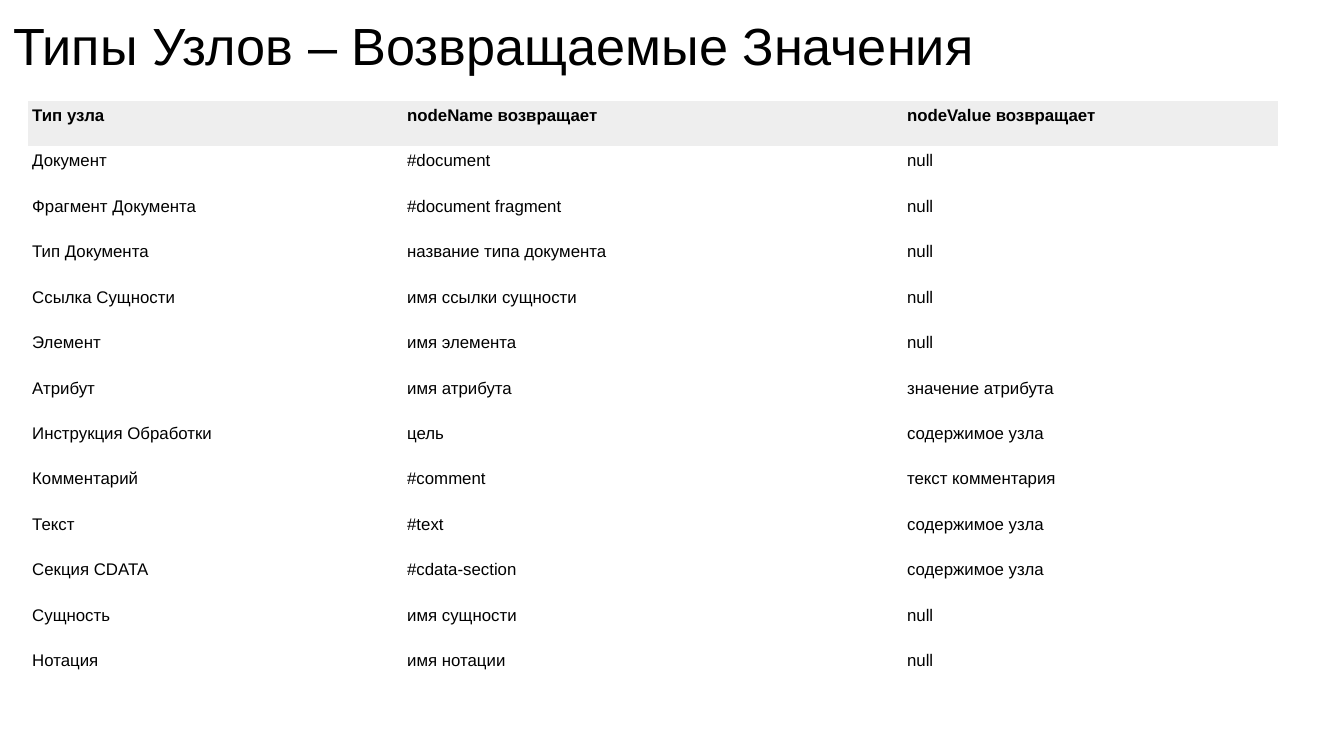
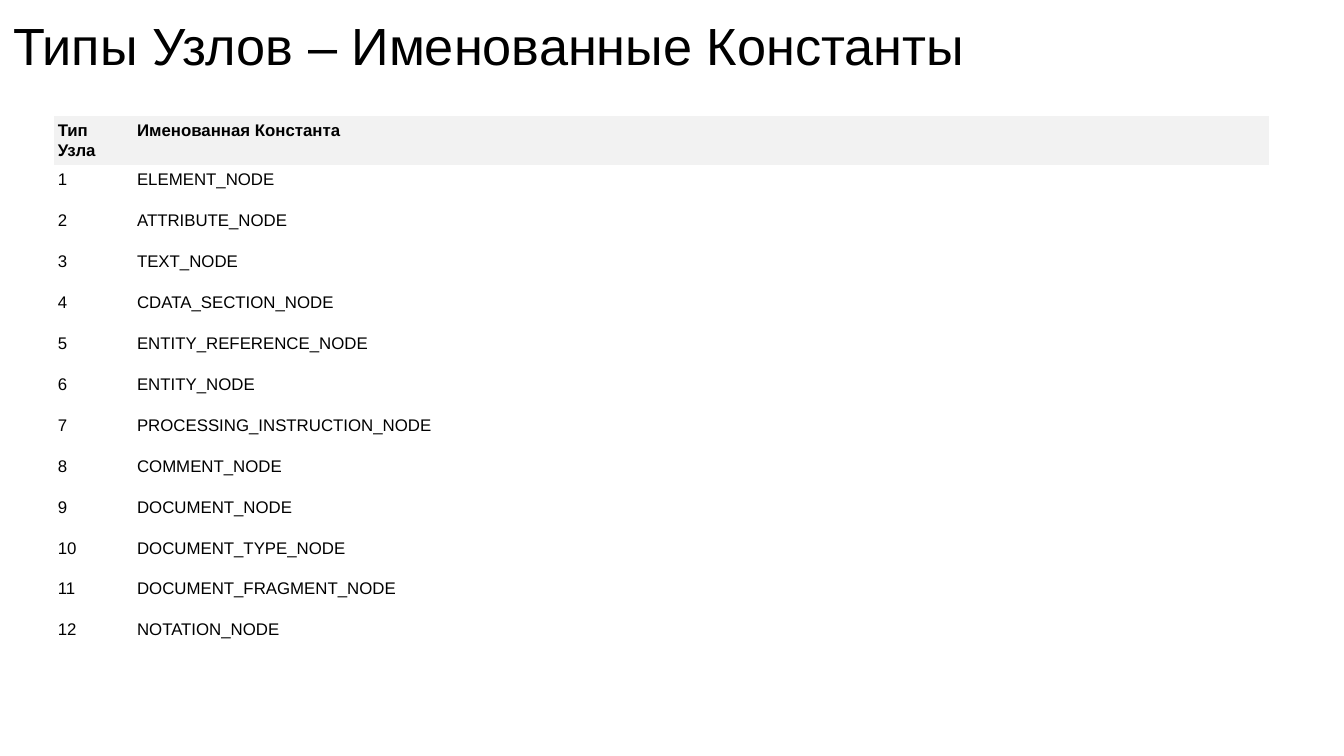
from dataclasses import dataclass

from pptx import Presentation
from pptx.dml.color import RGBColor
from pptx.enum.text import MSO_ANCHOR
from pptx.oxml.ns import qn
from pptx.util import Inches, Pt


@dataclass(frozen=True)
class Theme:
    font: str = "Arial"
    text: RGBColor = RGBColor(0x00, 0x00, 0x00)
    node_header: RGBColor = RGBColor(0xEE, 0xEE, 0xEE)
    constant_header: RGBColor = RGBColor(0xF2, 0xF2, 0xF2)
    title_size: Pt = Pt(28)
    cell_size: Pt = Pt(9)
    title_margin: Inches = Inches(0.1)
    cell_margin: Inches = Inches(0.03)
    cell_margin_bottom: Inches = Inches(0.02)
    line_spacing: float = 1.07


THEME = Theme()
NO_STYLE_NO_GRID = "{2D5ABB26-0587-4C30-8999-92F81FD0307C}"

NODE_ROWS = [
    ("Тип узла", "nodeName возвращает", "nodeValue возвращает"),
    ("Документ", "#document", "null"),
    ("Фрагмент Документа", "#document fragment", "null"),
    ("Тип Документа", "название типа документа", "null"),
    ("Ссылка Сущности", "имя ссылки сущности", "null"),
    ("Элемент", "имя элемента", "null"),
    ("Атрибут", "имя атрибута", "значение атрибута"),
    ("Инструкция Обработки", "цель", "содержимое узла"),
    ("Комментарий", "#comment", "текст комментария"),
    ("Текст", "#text", "содержимое узла"),
    ("Секция CDATA", "#cdata-section", "содержимое узла"),
    ("Сущность", "имя сущности", "null"),
    ("Нотация", "имя нотации", "null"),
]

CONSTANTS = [
    "ELEMENT_NODE",
    "ATTRIBUTE_NODE",
    "TEXT_NODE",
    "CDATA_SECTION_NODE",
    "ENTITY_REFERENCE_NODE",
    "ENTITY_NODE",
    "PROCESSING_INSTRUCTION_NODE",
    "COMMENT_NODE",
    "DOCUMENT_NODE",
    "DOCUMENT_TYPE_NODE",
    "DOCUMENT_FRAGMENT_NODE",
    "NOTATION_NODE",
]
CONSTANT_ROWS = [("Тип Узла", "Именованная Константа")]
CONSTANT_ROWS += [(str(number), name) for number, name in enumerate(CONSTANTS, 1)]

# title, rows, left, top, height, column widths, header fill
SLIDES = [
    ("Типы Узлов – Возвращаемые Значения", NODE_ROWS,
     0.21, 0.75, 4.4, (2.79, 3.72, 2.79), THEME.node_header),
    ("Типы Узлов – Именованные Константы", CONSTANT_ROWS,
     0.4, 0.86, 3.96, (0.59, 8.45), THEME.constant_header),
]


def format_text(paragraph, size, bold=False):
    for run in paragraph.runs:
        run.font.name = THEME.font
        run.font.size = size
        run.font.bold = bold
        run.font.color.rgb = THEME.text


presentation = Presentation()
presentation.slide_width = Inches(10)
presentation.slide_height = Inches(10 * 9 / 16)

for title, rows, left, top, height, widths, header_fill in SLIDES:
    slide = presentation.slides.add_slide(presentation.slide_layouts[6])

    title_box = slide.shapes.add_textbox(0, 0, Inches(9.32), Inches(0.63))
    title_frame = title_box.text_frame
    title_frame.word_wrap = True
    title_frame.vertical_anchor = MSO_ANCHOR.TOP
    title_frame.margin_left = title_frame.margin_right = THEME.title_margin
    title_frame.margin_top = title_frame.margin_bottom = THEME.title_margin
    title_frame.text = title
    format_text(title_frame.paragraphs[0], THEME.title_size)

    table_shape = slide.shapes.add_table(
        len(rows), len(widths),
        Inches(left), Inches(top), Inches(sum(widths)), Inches(height))
    table = table_shape.table
    table.horz_banding = False
    table._tbl.tblPr.find(qn("a:tableStyleId")).text = NO_STYLE_NO_GRID
    for column, width in zip(table.columns, widths):
        column.width = Inches(width)

    for row_index, row in enumerate(rows):
        is_header = row_index == 0
        for column_index, text in enumerate(row):
            cell = table.cell(row_index, column_index)
            cell.margin_left = cell.margin_right = THEME.cell_margin
            cell.margin_top = THEME.cell_margin
            cell.margin_bottom = THEME.cell_margin_bottom
            if is_header:
                cell.fill.solid()
                cell.fill.fore_color.rgb = header_fill
            else:
                cell.fill.background()
            paragraph = cell.text_frame.paragraphs[0]
            paragraph.text = text
            paragraph.line_spacing = THEME.line_spacing
            format_text(paragraph, THEME.cell_size, bold=is_header)

presentation.save("out.pptx")
